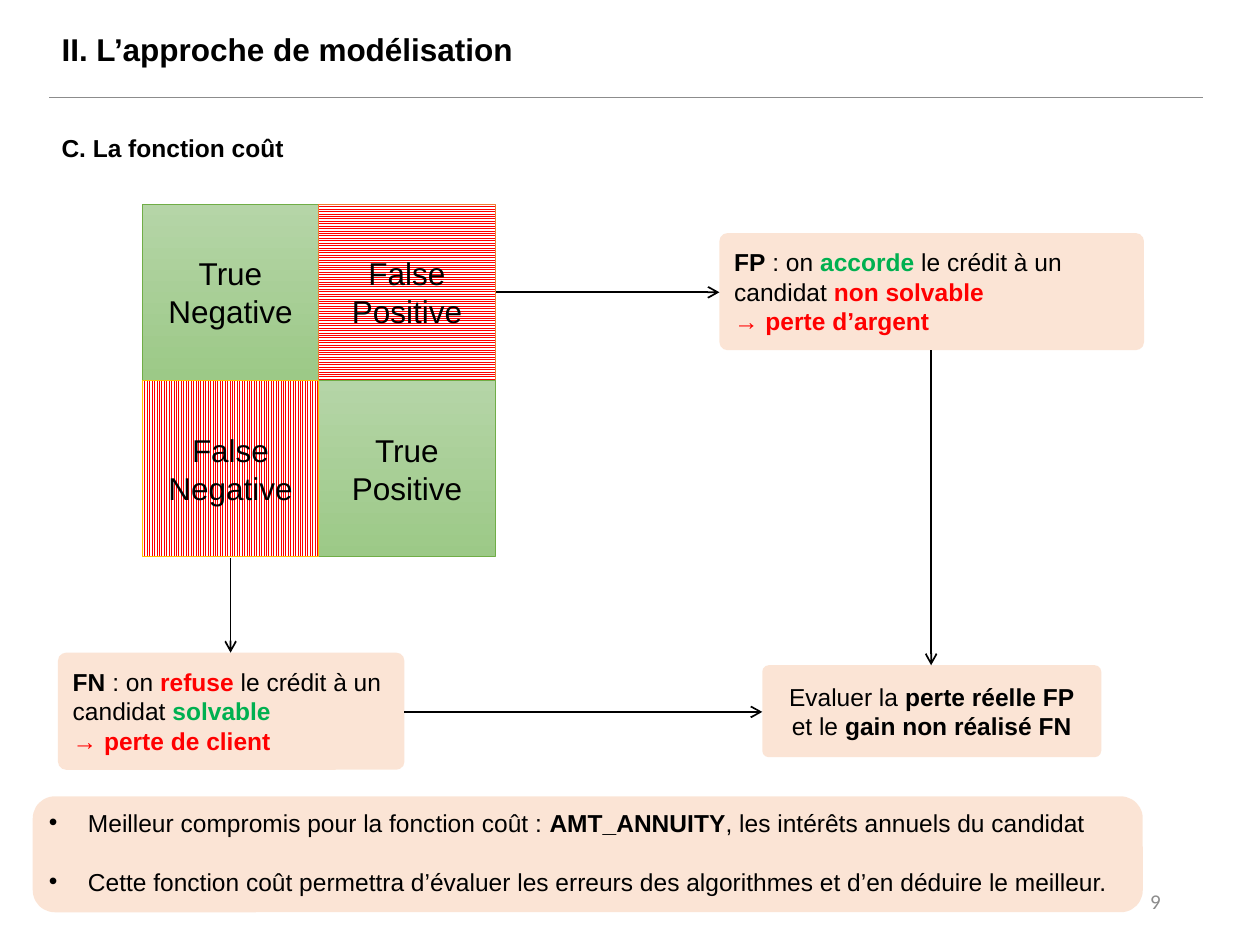
from lxml.etree import SubElement
from pptx import Presentation
from pptx.dml.color import RGBColor
from pptx.enum.dml import MSO_PATTERN
from pptx.enum.shapes import MSO_CONNECTOR, MSO_SHAPE
from pptx.enum.text import MSO_ANCHOR, MSO_AUTO_SIZE, PP_ALIGN
from pptx.oxml.ns import qn
from pptx.util import Inches, Pt

BLACK, RED, GREEN, GREY = "000000", "FF0000", "00B050", "8C8C8C"
PEACH = "F8CBAD"

# A paragraph is a list of runs: (text, colour, bold)
TITLE = [[("II. L’approche de modélisation", BLACK, True)]]
SUBTITLE = [[("C. La fonction coût", BLACK, True)]]
PAGE_NUMBER = [[("9", GREY, False)]]

CELL = 1.4
MATRIX_LEFT, MATRIX_TOP = 1.13, 1.62
MATRIX = [  # row, column, paragraphs, pattern, line colour
    (0, 0, ["True", "Negative"], None, "70AD47"),
    (0, 1, ["False Positive"], MSO_PATTERN.LIGHT_HORIZONTAL, "ED7D31"),
    (1, 1, ["True", "Positive"], None, "70AD47"),
    (1, 0, ["False Negative"], MSO_PATTERN.LIGHT_VERTICAL, "FFC000"),
]

CARDS = [  # box, alignment, paragraphs
    ((0.46, 5.18, 2.75, 0.93), PP_ALIGN.LEFT, [
        [("FN", BLACK, True), (" : on ", BLACK, False), ("refuse ", RED, True),
         ("le crédit à un candidat ", BLACK, False), ("solvable", GREEN, True)],
        [("→ perte de client", RED, True)]]),
    ((6.05, 5.28, 2.69, 0.73), PP_ALIGN.CENTER, [
        [("Evaluer la ", BLACK, False), ("perte réelle FP", BLACK, True),
         (" et le ", BLACK, False), ("gain non réalisé FN", BLACK, True)]]),
    ((5.71, 1.85, 3.37, 0.93), PP_ALIGN.LEFT, [
        [("FP", BLACK, True), (" : on ", BLACK, False), ("accorde ", GREEN, True),
         ("le crédit à un candidat ", BLACK, False), ("non solvable", RED, True)],
        [("→ perte d’argent", RED, True)]]),
]

CONCLUSIONS = [
    [("Meilleur compromis pour la fonction coût : ", BLACK, False),
     ("AMT_ANNUITY", BLACK, True),
     (", les intérêts annuels du candidat", BLACK, False)],
    [("Cette fonction coût permettra d’évaluer les erreurs des algorithmes "
      "et d’en déduire le meilleur.", BLACK, False)],
]

ARROWS = [
    ((1.83, 4.43), (1.83, 5.18)),
    ((3.94, 2.32), (5.71, 2.32)),
    ((7.39, 2.78), (7.39, 5.28)),
    ((3.21, 5.65), (6.05, 5.65)),
]


def color(hex_string):
    return RGBColor.from_string(hex_string)


def write_text(shape, paragraphs, size=14, font="Arial", align=PP_ALIGN.LEFT,
               anchor=MSO_ANCHOR.MIDDLE, wrap=True):
    frame = shape.text_frame
    frame.word_wrap = wrap
    frame.vertical_anchor = anchor
    for index, runs in enumerate(paragraphs):
        paragraph = frame.add_paragraph() if index else frame.paragraphs[0]
        paragraph.alignment = align
        for text, run_color, bold in runs:
            run = paragraph.add_run()
            run.text = text
            run.font.size = Pt(size)
            run.font.name = font
            run.font.bold = bold
            run.font.color.rgb = color(run_color)


def add_text(slide, box, paragraphs, **text_format):
    shape = slide.shapes.add_textbox(*map(Inches, box))
    write_text(shape, paragraphs, **text_format)
    return shape


def add_box(slide, kind, box):
    shape = slide.shapes.add_shape(kind, *map(Inches, box))
    shape.shadow.inherit = False
    return shape


def add_card(slide, box, radius):
    """Add a half-transparent rounded panel without outline."""
    shape = add_box(slide, MSO_SHAPE.ROUNDED_RECTANGLE, box)
    shape.adjustments[0] = radius
    shape.fill.solid()
    shape.fill.fore_color.rgb = color(PEACH)
    fill_color = shape.fill._xPr.find(qn("a:solidFill"))[0]
    SubElement(fill_color, qn("a:alpha"), val="50000")
    shape.line.fill.background()
    return shape


def add_matrix_cell(slide, row, column, words, pattern, line_color):
    box = (MATRIX_LEFT + column * CELL, MATRIX_TOP + row * CELL, CELL, CELL)
    shape = add_box(slide, MSO_SHAPE.RECTANGLE, box)
    fill = shape.fill
    if pattern:
        fill.patterned()
        fill.pattern = pattern
        fill.fore_color.rgb = color(RED)
        fill.back_color.rgb = color("FFFFFF")
    else:
        fill.gradient()
        fill.gradient_angle = 270
        for stop, stop_color in zip(fill.gradient_stops, ("B5D5A7", "9CC987")):
            stop.color.rgb = color(stop_color)
    shape.line.color.rgb = color(line_color)
    shape.line.width = Pt(0.5)
    write_text(shape, [[(word, BLACK, False)] for word in words],
               size=18, align=PP_ALIGN.CENTER)


def add_line(slide, start, end, line_color, width, arrow=False):
    connector = slide.shapes.add_connector(
        MSO_CONNECTOR.STRAIGHT, *map(Inches, start + end))
    connector.line.color.rgb = color(line_color)
    connector.line.width = Pt(width)
    if arrow:
        SubElement(connector.line._get_or_add_ln(), qn("a:tailEnd"), type="arrow")
    SubElement(connector._element.spPr, qn("a:effectLst"))


def add_bullets(shape, indent, gap):
    """Give every paragraph a hanging bullet, with a gap between them."""
    for index, paragraph in enumerate(shape.text_frame.paragraphs):
        paragraph.space_before = Pt(gap if index else 0)
        properties = paragraph._p.get_or_add_pPr()
        properties.set("marL", str(Inches(indent)))
        properties.set("indent", str(-Inches(indent)))
        SubElement(properties, qn("a:buFont"), typeface="Arial")
        SubElement(properties, qn("a:buChar"), char="•")


def main():
    presentation = Presentation()
    presentation.slide_width, presentation.slide_height = Inches(10), Inches(7.5)
    slide = presentation.slides.add_slide(presentation.slide_layouts[6])

    add_card(slide, (0.26, 6.32, 8.81, 0.92), 0.19)
    for box, align, paragraphs in CARDS:
        write_text(add_card(slide, box, 0.07), paragraphs, align=align)
    for cell in MATRIX:
        add_matrix_cell(slide, *cell)

    add_line(slide, (0.39, 0.77), (9.55, 0.77), GREY, 0.5)
    for box, heading, size in (((0.39, 1.01, 1.97, 0.34), SUBTITLE, 14),
                               ((0.39, 0.19, 3.82, 0.4), TITLE, 18)):
        shape = add_text(slide, box, heading, size=size,
                         anchor=MSO_ANCHOR.TOP, wrap=False)
        shape.text_frame.auto_size = MSO_AUTO_SIZE.SHAPE_TO_FIT_TEXT

    conclusions = add_text(slide, (0.29, 6.36, 8.73, 0.81), CONCLUSIONS,
                           anchor=MSO_ANCHOR.TOP)
    add_bullets(conclusions, indent=0.31, gap=17)
    add_text(slide, (7.06, 6.95, 2.25, 0.4), PAGE_NUMBER, size=12,
             font="Calibri", align=PP_ALIGN.RIGHT)

    for start, end in ARROWS:
        add_line(slide, start, end, BLACK, 1, arrow=True)

    presentation.save("out.pptx")


if __name__ == "__main__":
    main()
